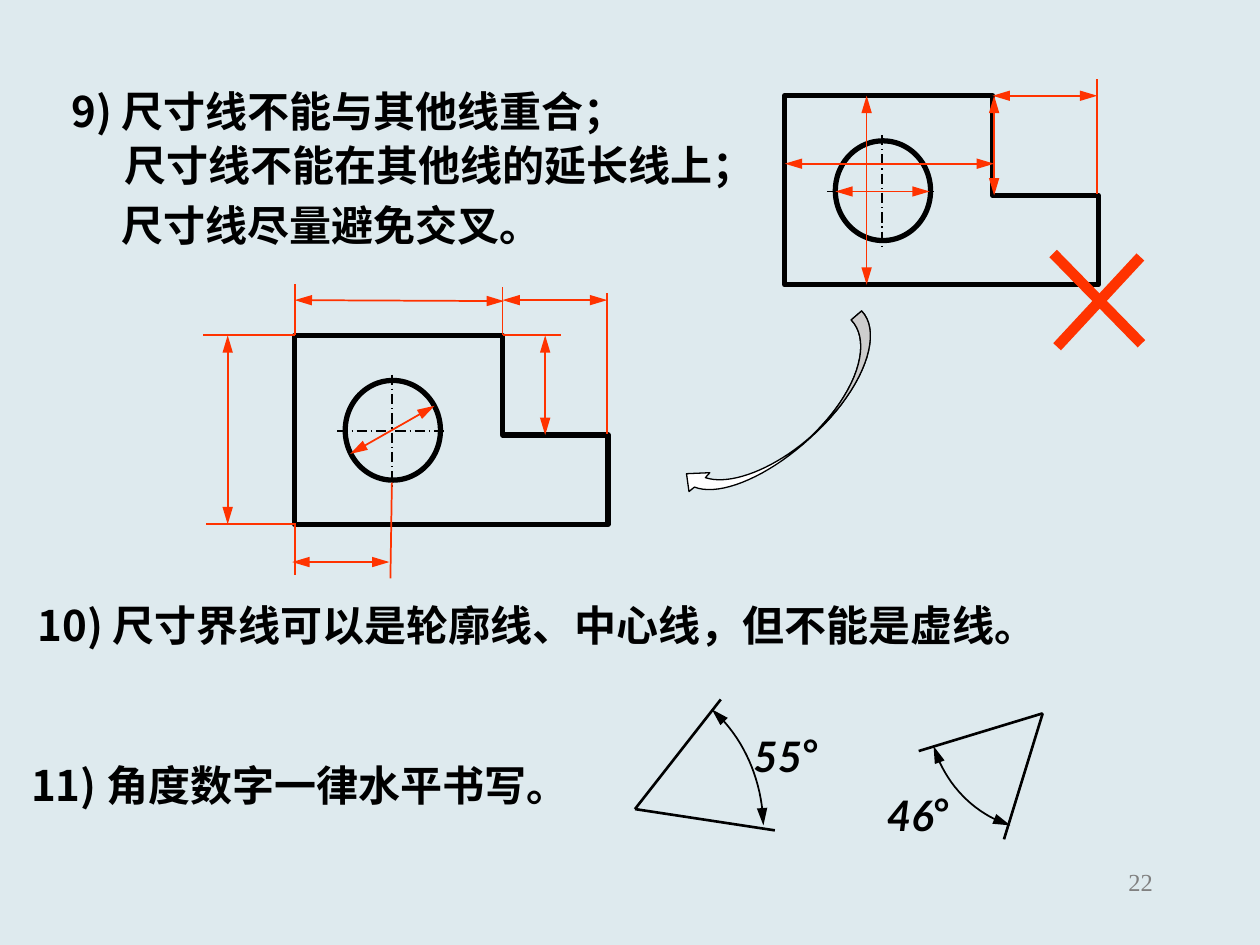
from dataclasses import dataclass

import pptx
import pptx.dml.color
import pptx.enum.dml
import pptx.enum.shapes
import pptx.enum.text
import pptx.oxml.ns
import pptx.util
from lxml import etree
from pptx.util import Cm

RGBColor = pptx.dml.color.RGBColor
BACKGROUND = RGBColor(0xDE, 0xEA, 0xEE)
BLACK = RGBColor(0, 0, 0)
WHITE = RGBColor(0xFF, 0xFF, 0xFF)
RED = RGBColor(0xFF, 0x33, 0x00)
GRAY = RGBColor(0x80, 0x80, 0x80)
SHADE = RGBColor(0xCD, 0xCD, 0xCD)
CHINESE_FONT = "Noto Sans CJK SC"

Point = tuple[float, float]


@dataclass
class Line:
    """A straight line; all coordinates are centimetres."""
    start: Point
    end: Point
    color: RGBColor = RED
    width: float = 1
    arrows: bool = False
    dashed: bool = False


@dataclass
class Label:
    left: float
    top: float
    width: float
    text: str
    degree: bool = False


@dataclass
class View:
    """A part drawing whose lines are relative to its origin."""
    origin: Point
    dimensions: list[tuple[Point, Point]]
    extensions: list[tuple[Point, Point]]


@dataclass
class Angle:
    vertex: Point
    ends: tuple[Point, Point]
    arc: list[Point]


OUTLINE = [(4.19, 0), (0, 0), (0, 3.81), (6.32, 3.81), (6.32, 2.01), (4.19, 2.01)]
CENTER_LINES = [((0.86, 1.93), (3.07, 1.93)), ((1.96, 0.79), (1.96, 3.12))]

WRONG_VIEW = View(
    (15.82, 1.93),
    [((0, 1.37), (4.22, 1.37)), ((1.02, 1.93), (2.92, 1.93)),
     ((1.65, 0), (1.65, 3.81)), ((4.22, 0), (4.22, 2.01)), ((4.19, 0), (6.3, 0))],
    [((6.3, 1.98), (6.3, -0.33))],
)
RIGHT_VIEW = View(
    (5.94, 6.76),
    [((0, -0.71), (4.22, -0.69)), ((1.12, 2.39), (2.82, 1.42)),
     ((-1.35, 0), (-1.35, 3.81)), ((5.05, 0), (5.05, 2.01)),
     ((4.19, -0.71), (6.3, -0.71)), ((-0.05, 4.57), (1.91, 4.57))],
    [((6.3, 1.98), (6.3, -0.86)), ((0, 0), (-1.85, 0)), ((0, 3.81), (-1.78, 3.81)),
     ((0, 0), (0, -1.04)), ((4.19, 0), (4.19, -0.97)), ((4.19, 0), (5.36, 0)),
     ((1.93, 4.9), (1.96, 2.97)), ((0, 4.83), (0, 3.78))],
)
CROSS = [((22.99, 5.18), (21.31, 6.99)), ((21.23, 5.11), (23.01, 6.93))]

ANGLES = [
    Angle((12.8, 16.31), ((14.53, 14.1), (15.62, 16.74)),
          [(14.35, 14.3), (14.99, 14.86), (15.37, 15.72), (15.39, 16.64)]),
    Angle((21.02, 14.38), ((18.52, 15.14), (20.24, 16.92)),
          [(20.37, 16.64), (19.63, 16.41), (19.05, 15.8), (18.82, 15.04)]),
]

OUTER_START = [(17.37, 6.27), (17.81, 6.73), (17.4, 7.82), (16.46, 8.71)]
OUTER_END = [(16.46, 8.71), (15.57, 9.58), (14.53, 10.03), (14, 9.82)]
ARROW_TIP = [(13.89, 9.91), (13.84, 9.55), (14.31, 9.53)]
INNER_START = [(14.22, 9.63), (14.73, 9.8), (15.62, 9.45), (16.36, 8.79)]
INNER_END = [(16.36, 8.79), (17.27, 7.92), (17.6, 6.91), (17.16, 6.45)]

LABELS = [
    Label(1.19, 1.6, 13.31, "9) 尺寸线不能与其他线重合；"),
    Label(2.26, 2.69, 13.41, "尺寸线不能在其他线的延长线上；"),
    Label(2.21, 3.89, 9.91, "尺寸线尽量避免交叉。"),
    Label(0.51, 11.96, 21.36, "10) 尺寸界线可以是轮廓线、中心线，但不能是虚线。"),
    Label(0.38, 15.19, 12.07, "11) 角度数字一律水平书写。"),
    Label(14.94, 14.61, 2.92, "55", degree=True),
    Label(17.63, 15.8, 2.36, "46", degree=True),
]


def add_arrowheads(shape) -> None:
    line = shape.line._get_or_add_ln()
    for tag in ("a:headEnd", "a:tailEnd"):
        etree.SubElement(line, pptx.oxml.ns.qn(tag), type="triangle", w="med", len="lg")


def draw_line(slide, line: Line) -> None:
    connector = slide.shapes.add_connector(
        pptx.enum.shapes.MSO_CONNECTOR.STRAIGHT,
        *(Cm(value) for value in line.start + line.end))
    connector.line.color.rgb = line.color
    connector.line.width = pptx.util.Pt(line.width)
    if line.dashed:
        connector.line.dash_style = pptx.enum.dml.MSO_LINE.LONG_DASH_DOT
    if line.arrows:
        add_arrowheads(connector)
    etree.SubElement(connector._element.spPr, pptx.oxml.ns.qn("a:effectLst"))


def style_shape(shape, width: float, fill: RGBColor | None = None) -> None:
    shape.shadow.inherit = False
    shape.line.color.rgb = BLACK
    shape.line.width = pptx.util.Pt(width)
    if fill is None:
        shape.fill.background()
    else:
        shape.fill.solid()
        shape.fill.fore_color.rgb = fill


def draw_path(slide, points: list[Point], width: float, close: bool = True,
              fill: RGBColor | None = None):
    vertices = [(Cm(x), Cm(y)) for x, y in points]
    builder = slide.shapes.build_freeform(*vertices[0])
    builder.add_line_segments(vertices[1:], close=close)
    shape = builder.convert_to_shape()
    style_shape(shape, width, fill)
    return shape


def curve(controls: list[Point], steps: int = 20) -> list[Point]:
    """Return points along a cubic Bezier curve."""
    points = []
    for step in range(steps + 1):
        t = step / steps
        weights = ((1 - t) ** 3, 3 * t * (1 - t) ** 2, 3 * t * t * (1 - t), t ** 3)
        points.append(tuple(sum(w * p[axis] for w, p in zip(weights, controls))
                            for axis in (0, 1)))
    return points


def draw_view(slide, view: View) -> None:
    left, top = view.origin

    def place(point: Point) -> Point:
        return left + point[0], top + point[1]

    for start, end in CENTER_LINES:
        draw_line(slide, Line(place(start), place(end), BLACK, 0.75, dashed=True))
    draw_path(slide, [place(point) for point in OUTLINE], 3)
    circle = slide.shapes.add_shape(pptx.enum.shapes.MSO_SHAPE.OVAL, Cm(left + 1.02),
                                    Cm(top + 0.91), Cm(1.92), Cm(2.01))
    style_shape(circle, 3)
    for lines, arrows in ((view.dimensions, True), (view.extensions, False)):
        for start, end in lines:
            draw_line(slide, Line(place(start), place(end), arrows=arrows))


def draw_angle(slide, angle: Angle) -> None:
    for end in angle.ends:
        draw_line(slide, Line(angle.vertex, end, BLACK, 1.5))
    add_arrowheads(draw_path(slide, curve(angle.arc), 1, close=False))


def set_font(font, name: str, size: float, color: RGBColor, bold: bool) -> None:
    font.name, font.size, font.bold = name, pptx.util.Pt(size), bold
    font.color.rgb = color
    etree.SubElement(font._element, pptx.oxml.ns.qn("a:ea"), typeface=name)


def add_text(slide, label: Label):
    box = slide.shapes.add_textbox(Cm(label.left), Cm(label.top), Cm(label.width), Cm(1.27))
    box.text_frame.word_wrap = True
    paragraph = box.text_frame.paragraphs[0]
    paragraph.add_run().text = label.text
    return paragraph


def draw_label(slide, label: Label) -> None:
    paragraph = add_text(slide, label)
    if not label.degree:
        set_font(paragraph.font, CHINESE_FONT, 24, BLACK, True)
        return
    paragraph.add_run().text = "°"
    for run, name in zip(paragraph.runs, ("Lato", CHINESE_FONT)):
        set_font(run.font, name, 24, BLACK, True)
        run.font.italic = name == "Lato"


def main() -> None:
    presentation = pptx.Presentation()
    presentation.slide_width, presentation.slide_height = Cm(25.4), Cm(19.05)
    slide = presentation.slides.add_slide(presentation.slide_layouts[6])
    slide.background.fill.solid()
    slide.background.fill.fore_color.rgb = BACKGROUND

    number = add_text(slide, Label(18.21, 17.35, 5.28, "22"))
    number.alignment = pptx.enum.text.PP_ALIGN.RIGHT
    set_font(number.font, "Times New Roman", 14, GRAY, False)
    for view in (WRONG_VIEW, RIGHT_VIEW):
        draw_view(slide, view)
    for start, end in CROSS:
        draw_line(slide, Line(start, end, width=6))
    for angle in ANGLES:
        draw_angle(slide, angle)
    for label in LABELS:
        draw_label(slide, label)
    outer, inner = curve(OUTER_START), curve(INNER_END)
    draw_path(slide, outer + curve(OUTER_END) + ARROW_TIP + curve(INNER_START) + inner,
              0.75, fill=WHITE)
    draw_path(slide, outer + inner, 0.75, fill=SHADE)
    presentation.save("out.pptx")


if __name__ == "__main__":
    main()
